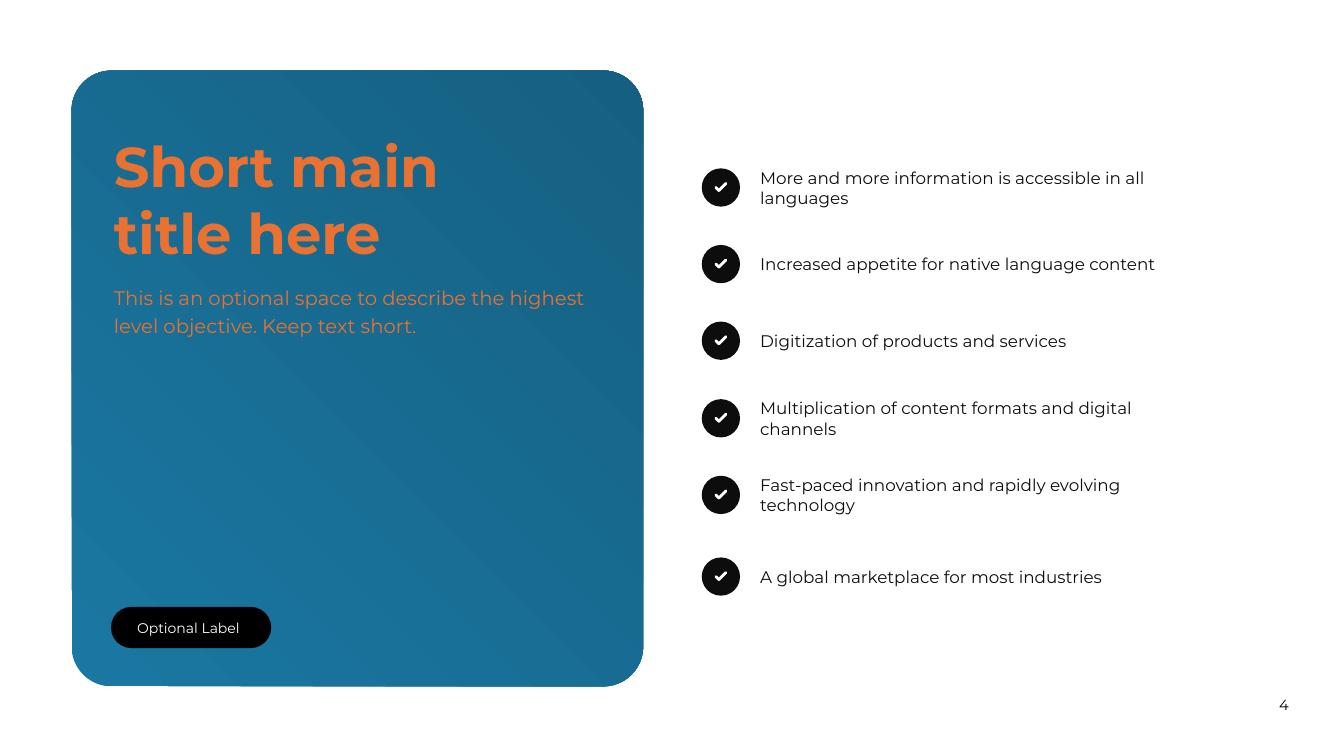
from dataclasses import dataclass

from lxml import etree
from pptx import Presentation
from pptx.dml.color import RGBColor
from pptx.enum.shapes import MSO_SHAPE
from pptx.enum.text import MSO_ANCHOR, MSO_AUTO_SIZE, PP_ALIGN
from pptx.oxml import parse_xml
from pptx.oxml.ns import nsdecls, qn
from pptx.util import Pt

PX = 9144  # 100 px to the inch
OVAL, ROUND = MSO_SHAPE.OVAL, MSO_SHAPE.ROUNDED_RECTANGLE
TOP, MIDDLE = MSO_ANCHOR.TOP, MSO_ANCHOR.MIDDLE
LEFT, CENTER = PP_ALIGN.LEFT, PP_ALIGN.CENTER
FIXED = MSO_AUTO_SIZE.NONE


@dataclass(frozen=True)
class Theme:
    font: str = "Montserrat"
    ink: str = "0D0D0D"
    black: str = "000000"
    white: str = "FFFFFF"
    accent: str = "E97132"
    deep: str = "156082"
    light: str = "1A77A1"
    title: float = 40
    lead: float = 14
    item: float = 12
    page: float = 10.5
    label: float = 10


THEME = Theme()

# Text, top of its circle, height of its text box
ITEMS = [
    ("More and more information is accessible in all languages", 167, 46),
    ("Increased appetite for native language content", 243, 26),
    ("Digitization of products and services", 319, 26),
    ("Multiplication of content formats and digital channels", 396, 46),
    ("Fast-paced innovation and rapidly evolving technology", 472, 46),
    ("A global marketplace for most industries", 553, 26),
]
DISC = 38


def rgb(color):
    return RGBColor.from_string(color)


def place(shape, x, y, w, h):
    shape.left, shape.top, shape.width, shape.height = (
        x * PX, y * PX, w * PX, h * PX)


def write(shape, lines, size, color, bold=False, align=LEFT, anchor=TOP,
          pad=(3, 3), wrap=True, gap=None):
    """Fill a shape with one paragraph, broken where lines break."""
    frame = shape.text_frame
    frame.auto_size = FIXED
    frame.word_wrap = wrap
    frame.vertical_anchor = anchor
    frame.margin_left = frame.margin_right = pad[0] * PX
    frame.margin_top = frame.margin_bottom = pad[1] * PX
    para = frame.paragraphs[0]
    para.alignment = align
    para.space_before = Pt(0)
    if gap:
        para.line_spacing = gap
    for i, line in enumerate(lines):
        if i:
            para.add_line_break()
        run = para.add_run()
        run.text = line
        run.font.name = THEME.font
        run.font.size = Pt(size)
        run.font.bold = bold
        run.font.color.rgb = rgb(color)


def add_text(slide, box, text, size, color, **style):
    shape = slide.shapes.add_textbox(*(v * PX for v in box))
    write(shape, [text], size, color, **style)


def add_shape(slide, kind, box, color):
    shape = slide.shapes.add_shape(kind, *(v * PX for v in box))
    shape.shadow.inherit = False
    shape.fill.solid()
    shape.fill.fore_color.rgb = rgb(color)
    shape.line.fill.background()
    return shape


def add_panel(slide):
    panel = add_shape(slide, ROUND, (71, 70, 567, 611), THEME.deep)
    panel.adjustments[0] = 0.07
    # Radial gradient that starts in the top right corner
    grad = parse_xml(f'<a:gradFill {nsdecls("a")} rotWithShape="1"/>')
    stops = etree.SubElement(grad, qn("a:gsLst"))
    for pos, color in ((0, THEME.deep), (98000, THEME.light)):
        stop = etree.SubElement(stops, qn("a:gs"), pos=str(pos))
        etree.SubElement(stop, qn("a:srgbClr"), val=color)
    way = etree.SubElement(grad, qn("a:path"), {"path": "circle"})
    etree.SubElement(way, qn("a:fillToRect"), l="100000", b="100000")
    props = panel.element.spPr
    props.replace(props.find(qn("a:solidFill")), grad)
    # Send the panel behind the placeholders
    slide.shapes.element.insert(2, panel.element)


def add_tick(slide, x, y):
    pen = slide.shapes.build_freeform(x + 14, y + 19, scale=PX)
    pen.add_line_segments([(x + 17, y + 22), (x + 24, y + 15)], close=False)
    tick = pen.convert_to_shape()
    tick.shadow.inherit = False
    tick.fill.background()
    tick.line.color.rgb = rgb(THEME.white)
    tick.line.width = Pt(2)
    line = tick.element.spPr.find(qn("a:ln"))
    line.set("cap", "rnd")
    etree.SubElement(line, qn("a:round"))


def add_item(slide, text, y, high):
    add_text(slide, (751, y + (DISC - high) // 2, 444, high), text,
             THEME.item, THEME.ink, anchor=MIDDLE)
    add_shape(slide, OVAL, (696, y, DISC, DISC), THEME.ink)
    add_tick(slide, 696, y)


def main():
    deck = Presentation()
    deck.slide_width, deck.slide_height = 1333 * PX, 750 * PX
    slide = deck.slides.add_slide(deck.slide_layouts[0])

    # Left panel with title, lead and label
    add_panel(slide)
    title, lead = slide.shapes.title, slide.placeholders[1]
    place(title, 110, 127, 487, 140)
    write(title, ["Short main ", "title here"], THEME.title, THEME.accent,
          bold=True)
    place(lead, 110, 276, 487, 60)
    write(lead, ["This is an optional space to describe the highest level "
                 "objective. Keep text short."],
          THEME.lead, THEME.accent, gap=1.2)
    label = add_shape(slide, ROUND, (110, 602, 159, 41), THEME.black)
    label.adjustments[0] = 0.5
    write(label, ["Optional Label"], THEME.label, THEME.white,
          anchor=MIDDLE, pad=(20, 6), wrap=False)

    # Checklist
    for item in ITEMS:
        add_item(slide, *item)

    # Page number
    add_text(slide, (1241, 690, 65, 29), "4", THEME.page, THEME.black,
             align=CENTER, pad=(0, 0))
    deck.save("out.pptx")


if __name__ == "__main__":
    main()
